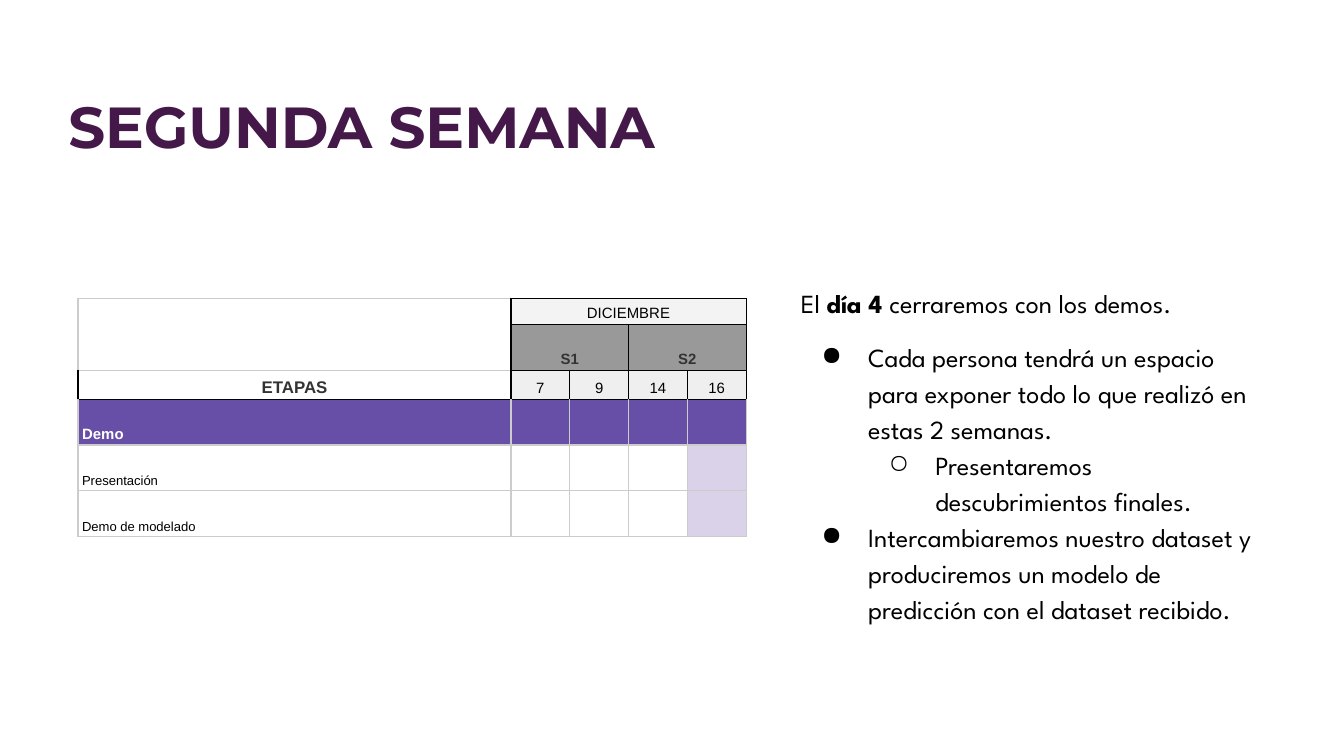
from dataclasses import dataclass

from lxml.etree import SubElement
from pptx import Presentation
from pptx.dml.color import RGBColor
from pptx.enum.text import MSO_ANCHOR, PP_ALIGN
from pptx.oxml.ns import qn
from pptx.util import Pt


@dataclass(frozen=True)
class Theme:
    title_font: str = "Montserrat"
    body_font: str = "League Spartan"
    table_font: str = "Arial"
    title_size: float = 31
    body_size: float = 14
    heading_size: float = 9
    label_size: float = 8
    task_size: float = 7
    plum: str = "441848"
    black: str = "000000"
    white: str = "FFFFFF"
    charcoal: str = "333333"
    week_gray: str = "999999"
    month_gray: str = "F3F3F3"
    day_gray: str = "EFEFEF"
    grid_gray: str = "CCCCCC"
    purple: str = "674EA7"
    lilac: str = "D9D2E9"


THEME = Theme()


@dataclass(frozen=True)
class Cell:
    row: int
    col: int
    text: str = ""
    fill: str | None = None
    size: float = THEME.label_size
    bold: bool = False
    color: str = THEME.black
    align: PP_ALIGN = PP_ALIGN.CENTER
    across: int = 1
    down: int = 1
    black_edges: str = ""


@dataclass(frozen=True)
class Point:
    text: str
    level: int = 0
    before: float = 0


def write(paragraph, text: str, *, font: str, size: float, color: str = THEME.black,
          bold: bool = False, spacing: float = 1.15, before: float = 0,
          align: PP_ALIGN = PP_ALIGN.LEFT) -> None:
    paragraph.alignment = align
    paragraph.line_spacing = spacing
    paragraph.space_before = Pt(before)
    run = paragraph.add_run()
    run.text = text
    run.font.name = font
    run.font.size = Pt(size)
    run.font.bold = bold
    run.font.color.rgb = RGBColor.from_string(color)


def add_frame(slide, left: float, top: float, width: float, height: float):
    frame = slide.shapes.add_textbox(Pt(left), Pt(top), Pt(width), Pt(height)).text_frame
    frame.word_wrap = True
    frame.margin_left = frame.margin_right = Pt(7.2)
    frame.margin_top = frame.margin_bottom = Pt(7.2)
    return frame


def add_point(frame, point: Point) -> None:
    paragraph = frame.add_paragraph()
    paragraph.level = point.level
    properties = paragraph._p.get_or_add_pPr()
    properties.set("marL", str(Pt(36 * (point.level + 1))))
    properties.set("indent", str(Pt(-25)))
    bullet_color = SubElement(properties, qn("a:buClr"))
    SubElement(bullet_color, qn("a:srgbClr"), val=THEME.black)
    SubElement(properties, qn("a:buChar"), char="●○"[point.level])
    write(paragraph, point.text, font=THEME.body_font, size=THEME.body_size,
          before=point.before)


def draw_edges(table_cell, black_edges: str) -> None:
    properties = table_cell._tc.get_or_add_tcPr()
    for side in "LRTB":
        edge = SubElement(properties, qn(f"a:ln{side}"), w=str(Pt(0.75)))
        fill = SubElement(edge, qn("a:solidFill"))
        color = THEME.black if side in black_edges else THEME.grid_gray
        SubElement(fill, qn("a:srgbClr"), val=color)


def draw_cell(table, cell: Cell) -> None:
    target = table.cell(cell.row, cell.col)
    if cell.across * cell.down > 1:
        target.merge(table.cell(cell.row + cell.down - 1, cell.col + cell.across - 1))
    draw_edges(target, cell.black_edges)
    if cell.fill:
        target.fill.solid()
        target.fill.fore_color.rgb = RGBColor.from_string(cell.fill)
    else:
        target.fill.background()
    if cell.text:
        write(target.text_frame.paragraphs[0], cell.text, font=THEME.table_font,
              size=cell.size, color=cell.color, bold=cell.bold, align=cell.align)


def add_schedule(slide, cells: list[Cell]) -> None:
    widths = [232] + [31.5] * 4
    heights = [14, 24.6, 15.4, 24.5, 24.5, 24.5]
    frame = slide.shapes.add_table(len(heights), len(widths), Pt(41.75), Pt(160),
                                   Pt(sum(widths)), Pt(sum(heights)))
    table = frame.table
    table.first_row = table.horz_banding = False
    for column, width in zip(table.columns, widths):
        column.width = Pt(width)
    for row, height in zip(table.rows, heights):
        row.height = Pt(height)
    for table_cell in table.iter_cells():
        table_cell.margin_left = table_cell.margin_right = Pt(2.25)
        table_cell.margin_top = table_cell.margin_bottom = Pt(1.5)
        table_cell.vertical_anchor = MSO_ANCHOR.BOTTOM
        ending = table_cell.text_frame.paragraphs[0]._p.get_or_add_endParaRPr()
        ending.set("sz", str(int(THEME.task_size * 100)))
    for cell in cells:
        draw_cell(table, cell)


def schedule_cells() -> list[Cell]:
    cells = [
        Cell(0, 0, down=2, black_edges="R"),
        Cell(0, 1, "DICIEMBRE", THEME.month_gray, across=4, black_edges="LRTB"),
        Cell(2, 0, "ETAPAS", THEME.white, THEME.heading_size, True, THEME.charcoal,
             black_edges="LRB"),
        Cell(3, 0, "Demo", THEME.purple, bold=True, color=THEME.white,
             align=PP_ALIGN.LEFT, black_edges="T"),
    ]
    for col, week in ((1, "S1"), (3, "S2")):
        cells.append(Cell(1, col, week, THEME.week_gray, bold=True,
                          color=THEME.charcoal, across=2, black_edges="LRTB"))
    for col, day in enumerate(("7", "9", "14", "16"), start=1):
        cells.append(Cell(2, col, day, THEME.day_gray, black_edges="LRTB"))
        cells.append(Cell(3, col, fill=THEME.purple, black_edges="T"))
    for row, task in enumerate(("Presentación", "Demo de modelado"), start=4):
        cells.append(Cell(row, 0, task, size=THEME.task_size, align=PP_ALIGN.LEFT))
        cells += [Cell(row, col) for col in (1, 2, 3)]
        cells.append(Cell(row, 4, fill=THEME.lilac))
    return cells


def main() -> None:
    deck = Presentation()
    deck.slide_width, deck.slide_height = Pt(720), Pt(405)
    slide = deck.slides.add_slide(deck.slide_layouts[6])

    title = add_frame(slide, 29.5, 30.25, 675, 50.4)
    write(title.paragraphs[0], "SEGUNDA SEMANA", font=THEME.title_font,
          size=THEME.title_size, color=THEME.plum, bold=True, spacing=1.3)

    closing = add_frame(slide, 422, 144, 264.25, 198)
    for text, bold in (("El ", False), ("día 4 ", True),
                       ("cerraremos con los demos.", False)):
        write(closing.paragraphs[0], text, font=THEME.body_font,
              size=THEME.body_size, bold=bold)
    for point in (
        Point("Cada persona tendrá un espacio para exponer todo lo que realizó "
              "en estas 2 semanas.", before=10),
        Point("Presentaremos descubrimientos finales.", level=1),
        Point("Intercambiaremos nuestro dataset y produciremos un modelo de "
              "predicción con el dataset recibido."),
    ):
        add_point(closing, point)

    add_schedule(slide, schedule_cells())
    deck.save("out.pptx")


if __name__ == "__main__":
    main()
